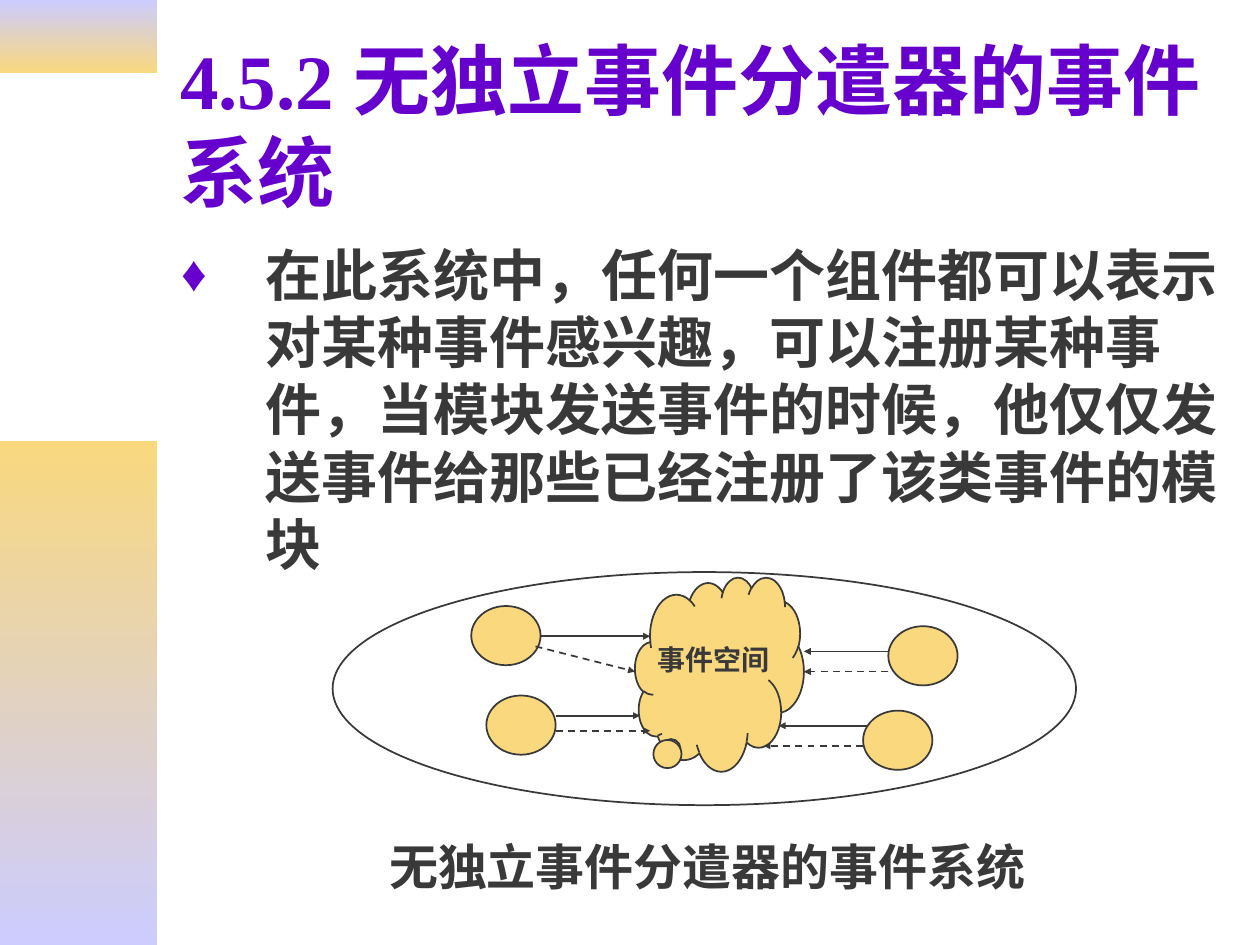
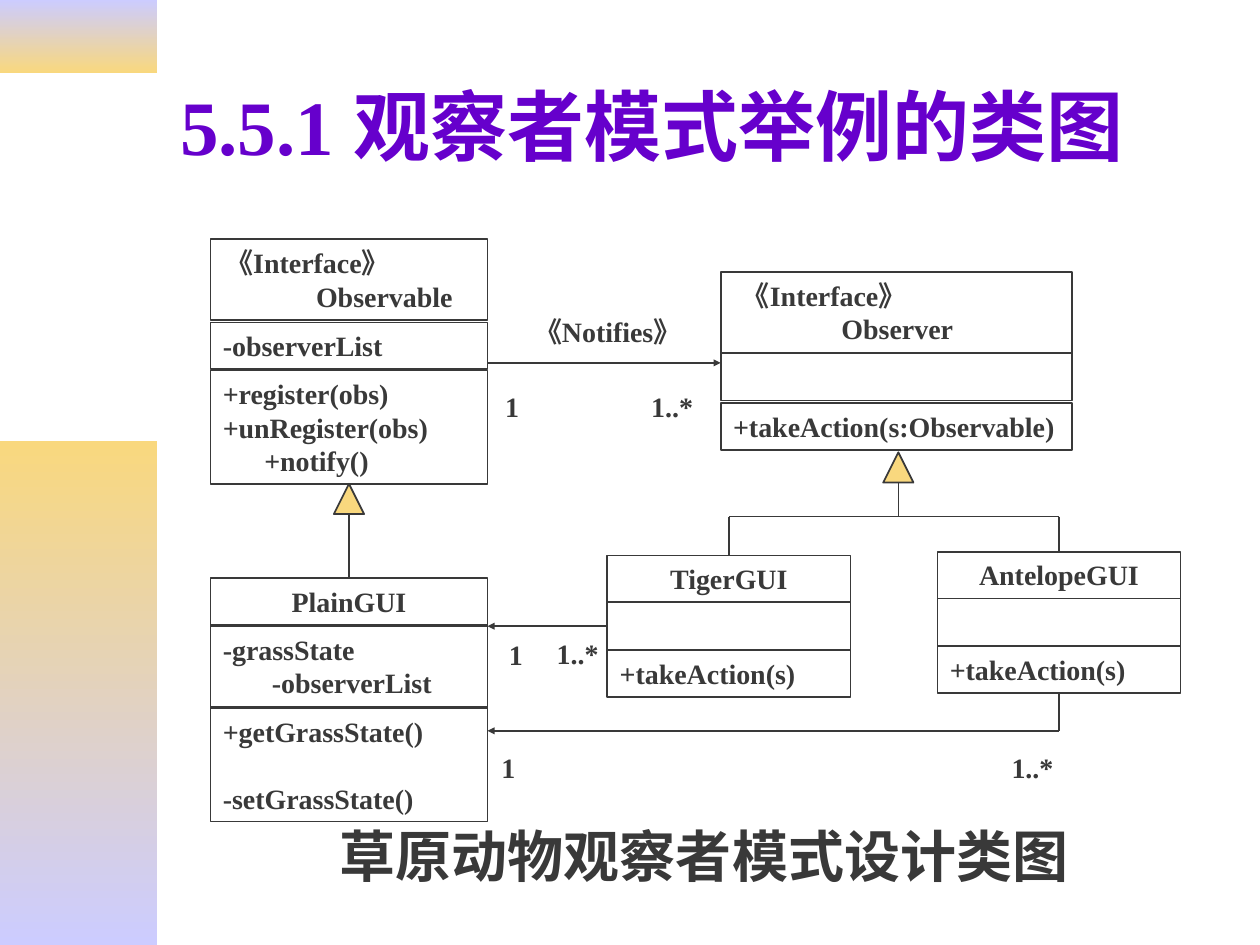
from dataclasses import dataclass
from typing import NamedTuple, Optional

from pptx import Presentation
from pptx.dml.color import RGBColor
from pptx.enum.dml import MSO_LINE_DASH_STYLE as Dash
from pptx.enum.shapes import MSO_CONNECTOR, MSO_SHAPE as Preset
from pptx.enum.text import MSO_ANCHOR as Anchor, MSO_AUTO_SIZE as AutoSize, PP_ALIGN as Align
from pptx.oxml.ns import qn
from pptx.shapes.autoshape import Shape
from pptx.shapes.connector import Connector
from pptx.slide import Slide
from pptx.text.text import TextFrame, _Paragraph as Paragraph
from pptx.util import Inches, Pt
from lxml.etree import SubElement


@dataclass(frozen=True)
class Theme:
    font: str = "Times New Roman"
    ink: str = "393939"
    purple: str = "6600CC"
    lavender: str = "CCCCFF"
    amber: str = "F9D87E"
    title: int = 44
    body: int = 32
    caption: int = 28
    label: int = 16
    stroke: float = 1


THEME = Theme()


class Box(NamedTuple):
    left: float
    top: float
    width: float
    height: float


class Point(NamedTuple):
    x: float
    y: float


class Joint(NamedTuple):
    """A connection site: 0 top, 1 left, 2 bottom, 3 right."""
    shape: Shape
    site: int


class Band(NamedTuple):
    box: Box
    top_color: str
    bottom_color: str


class Line(NamedTuple):
    text: str
    indent: float = 0
    before: float = 0


class Label(NamedTuple):
    text: str
    box: Box


class Flow(NamedTuple):
    start: Point
    end: Point
    dashed: bool = False


class Compartment(NamedTuple):
    top: float
    height: float
    lines: tuple[Line, ...] = ()
    align: Align = Align.LEFT


class UmlClass(NamedTuple):
    left: float
    width: float
    compartments: tuple[Compartment, ...]


BANDS = (
    Band(Box(0, 0, 1.25, 0.58), THEME.lavender, THEME.amber),
    Band(Box(0, 3.5, 1.25, 4), THEME.amber, THEME.lavender),
)
TITLE_BOX = Box(1.33, 0.33, 8.5, 1.32)

COMPONENTS = (Point(3.74, 4.81), Point(3.86, 5.52), Point(7.05, 4.97), Point(6.85, 5.64))
FLOWS = (
    Flow(Point(4.29, 5.05), Point(5.16, 5.05)),
    Flow(Point(4.25, 5.13), Point(5.04, 5.33), True),
    Flow(Point(4.41, 5.68), Point(5.08, 5.68)),
    Flow(Point(4.41, 5.8), Point(5.16, 5.8), True),
    Flow(Point(7.05, 5.17), Point(6.38, 5.17)),
    Flow(Point(7.05, 5.33), Point(6.38, 5.33), True),
    Flow(Point(6.89, 5.76), Point(6.18, 5.76)),
    Flow(Point(6.85, 5.92), Point(6.06, 5.92), True),
)

OBSERVABLE = UmlClass(1.67, 2.2, (
    Compartment(1.9, 0.64, (Line("《Interface》", 0.02), Line("Observable", 0.74))),
    Compartment(2.56, 0.37, (Line("-observerList"),)),
    Compartment(2.94, 0.9, (Line("+register(obs)"), Line("+unRegister(obs)"),
                            Line("+notify()", 0.33))),
))
OBSERVER = UmlClass(5.72, 2.79, (
    Compartment(2.16, 0.64, (Line("《Interface》", 0.07), Line("Observer", 0.86))),
    Compartment(2.8, 0.38),
    Compartment(3.2, 0.37, (Line("+takeAction(s:Observable)"),)),
))
PLAIN_GUI = UmlClass(1.67, 2.2, (
    Compartment(4.59, 0.37, (Line("PlainGUI"),), Align.CENTER),
    Compartment(4.97, 0.64, (Line("-grassState"), Line("-observerList", 0.39))),
    Compartment(5.62, 0.9, (Line("+getGrassState()"), Line("-setGrassState()", before=19))),
))
MULTIPLICITIES = (
    Label("《Notifies》", Box(4.14, 2.45, 1.47, 0.37)),
    Label("1", Box(3.91, 3.04, 0.31, 0.37)),
    Label("1..*", Box(5.07, 3.04, 0.53, 0.37)),
    Label("1..*", Box(4.32, 5, 0.54, 0.37)),
    Label("1", Box(3.94, 5.01, 0.31, 0.37)),
    Label("1", Box(3.88, 5.91, 0.31, 0.37)),
    Label("1..*", Box(7.93, 5.91, 0.54, 0.37)),
)


def animal_gui(name: str, left: float, top: float) -> UmlClass:
    return UmlClass(left, 1.93, (
        Compartment(top, 0.37, (Line(name),), Align.CENTER),
        Compartment(top + 0.37, 0.38),
        Compartment(top + 0.75, 0.37, (Line("+takeAction(s)"),)),
    ))


def rgb(color: str) -> RGBColor:
    return RGBColor.from_string(color)


def inches(box: Box) -> list[int]:
    return [Inches(length) for length in box]


def add_bullet(paragraph: Paragraph, char: str, hanging: float) -> None:
    props = paragraph._p.get_or_add_pPr()
    props.set("marL", str(Inches(hanging)))
    props.set("indent", str(-Inches(hanging)))
    SubElement(SubElement(props, qn("a:buClr")), qn("a:srgbClr"), val=THEME.purple)
    SubElement(props, qn("a:buSzPct"), val="90000")
    SubElement(props, qn("a:buFont"), typeface=THEME.font)
    SubElement(props, qn("a:buChar"), char=char)


def write(frame: TextFrame, *lines: Line, size: int = THEME.label, color: str = THEME.ink,
          align: Align = Align.LEFT, anchor: Anchor = Anchor.TOP, wrap: bool = True,
          bullet: Optional[str] = None) -> None:
    frame.auto_size = AutoSize.NONE
    frame.word_wrap = wrap
    frame.vertical_anchor = anchor
    for number, line in enumerate(lines):
        paragraph = frame.add_paragraph() if number else frame.paragraphs[0]
        paragraph.alignment = align
        props = paragraph._p.get_or_add_pPr()
        props.set("hangingPunct", "0")
        if line.indent:
            props.set("marL", str(Inches(line.indent)))
        if line.before:
            paragraph.space_before = Pt(line.before)
        if bullet:
            add_bullet(paragraph, bullet, 0.67)
        run = paragraph.add_run()
        run.text = line.text
        run.font.name, run.font.size, run.font.bold = THEME.font, Pt(size), True
        run.font.color.rgb = rgb(color)


def add_text(slide: Slide, text: str, box: Box, **text_format) -> None:
    write(slide.shapes.add_textbox(*inches(box)).text_frame, Line(text), **text_format)


def add_outline(slide: Slide, preset: Preset, box: Box, fill: Optional[str] = None) -> Shape:
    shape = slide.shapes.add_shape(preset, *inches(box))
    shape.shadow.inherit = False
    if fill:
        shape.fill.solid()
        shape.fill.fore_color.rgb = rgb(fill)
    else:
        shape.fill.background()
    shape.line.color.rgb = rgb(THEME.ink)
    shape.line.width = Pt(THEME.stroke)
    return shape


def add_line(slide: Slide, start: Point | Joint, end: Point | Joint,
             arrow: bool = False, dashed: bool = False) -> Connector:
    ends = [point if isinstance(point, Point) else site_of(point) for point in (start, end)]
    line = slide.shapes.add_connector(
        MSO_CONNECTOR.STRAIGHT, *(Inches(length) for point in ends for length in point))
    if isinstance(start, Joint):
        line.begin_connect(*start)
    if isinstance(end, Joint):
        line.end_connect(*end)
    line.line.color.rgb = rgb(THEME.ink)
    line.line.width = Pt(THEME.stroke)
    if dashed:
        line.line.dash_style = Dash.DASH
    if arrow:
        SubElement(line.line._get_or_add_ln(), qn("a:tailEnd"),
                   type="triangle", w="sm", len="sm")
    SubElement(line._element.spPr, qn("a:effectLst"))
    return line


def site_of(joint: Joint) -> Point:
    shape, site = joint
    across, down = ((0.5, 0), (0, 0.5), (0.5, 1), (1, 0.5))[site]
    return Point((shape.left + across * shape.width) / Inches(1),
                 (shape.top + down * shape.height) / Inches(1))


def add_band(slide: Slide, band: Band) -> None:
    shape = slide.shapes.add_shape(Preset.RECTANGLE, *inches(band.box))
    shape.shadow.inherit = False
    shape.line.fill.background()
    shape.fill.gradient()
    shape.fill.gradient_angle = 270
    for stop, color in zip(shape.fill.gradient_stops, (band.top_color, band.bottom_color)):
        stop.color.rgb = rgb(color)


def start_slide(deck: Presentation, heading: str) -> Slide:
    """Add a title-only slide with the side bands and its heading."""
    slide = deck.slides.add_slide(deck.slide_layouts[5])
    for band in BANDS:
        add_band(slide, band)
    title = slide.shapes.title
    title.left, title.top, title.width, title.height = inches(TITLE_BOX)
    write(title.text_frame, Line(heading), size=THEME.title, color=THEME.purple,
          anchor=Anchor.MIDDLE)
    return slide


def add_class(slide: Slide, uml: UmlClass) -> list[Shape]:
    """Draw a class and return its compartments from top to bottom."""
    drawn = []
    for part in uml.compartments:
        rect = add_outline(slide, Preset.RECTANGLE,
                           Box(uml.left, part.top, uml.width, part.height))
        if part.lines:
            write(rect.text_frame, *part.lines, align=part.align)
        drawn.append(rect)
    return drawn


def build_event_space(deck: Presentation) -> None:
    slide = start_slide(deck, "4.5.2 无独立事件分遣器的事件系统")
    add_text(slide, "在此系统中，任何一个组件都可以表示对某种事件感兴趣，可以注册某种事件，"
             "当模块发送事件的时候，他仅仅发送事件给那些已经注册了该类事件的模块",
             Box(1.34, 1.86, 8.5, 2.83), size=THEME.body, bullet="♦")
    add_outline(slide, Preset.OVAL, Box(2.64, 4.54, 5.9, 1.85))
    cloud = add_outline(slide, Preset.CLOUD_CALLOUT, Box(5.04, 4.58, 1.34, 1.54), THEME.amber)
    cloud.adjustments[0], cloud.adjustments[1] = -0.295, 0.395
    add_text(slide, "事件空间", Box(5.12, 5.05, 1.08, 0.37), wrap=False)
    for corner in COMPONENTS:
        add_outline(slide, Preset.OVAL, Box(*corner, 0.55, 0.47), THEME.amber)
    for flow in FLOWS:
        add_line(slide, flow.start, flow.end, arrow=True, dashed=flow.dashed)
    add_text(slide, "无独立事件分遣器的事件系统", Box(2.99, 6.59, 5.67, 0.57), size=THEME.caption)


def build_class_diagram(deck: Presentation) -> None:
    slide = start_slide(deck, "5.5.1 观察者模式举例的类图")
    add_text(slide, "草原动物观察者模式设计类图", Box(1.34, 6.47, 8.5, 0.67),
             size=THEME.body, align=Align.CENTER)
    add_class(slide, OBSERVABLE)
    add_class(slide, OBSERVER)
    plain = add_class(slide, PLAIN_GUI)
    tiger = add_class(slide, animal_gui("TigerGUI", 4.82, 4.41))
    antelope = add_class(slide, animal_gui("AntelopeGUI", 7.44, 4.38))
    for label in MULTIPLICITIES:
        add_text(slide, label.text, label.box, wrap=False)

    to_observable, to_observer = (
        add_outline(slide, Preset.FLOWCHART_EXTRACT, Box(*corner, 0.24, 0.24), THEME.amber)
        for corner in (Point(2.65, 3.84), Point(7.01, 3.59)))
    add_line(slide, Joint(to_observable, 2), Joint(plain[0], 0))

    branch_y, return_y = 4.1, 5.8
    tiger_x, antelope_x = site_of(Joint(tiger[0], 0)).x, site_of(Joint(antelope[0], 0)).x
    add_line(slide, Joint(to_observer, 2), Point(7.13, branch_y))
    add_line(slide, Point(tiger_x, branch_y), Point(antelope_x, branch_y))
    add_line(slide, Point(tiger_x, branch_y), Joint(tiger[0], 0))
    add_line(slide, Point(antelope_x, branch_y), Joint(antelope[0], 0))

    add_line(slide, Point(3.87, 2.88), Point(5.72, 2.88), arrow=True)
    add_line(slide, Joint(tiger[1], 1), Point(3.87, 4.97), arrow=True)
    add_line(slide, Joint(antelope[2], 2), Point(antelope_x, return_y))
    add_line(slide, Point(antelope_x, return_y), Point(3.87, return_y), arrow=True)


def main() -> None:
    deck = Presentation()
    deck.slide_width, deck.slide_height = Inches(10), Inches(7.5)
    build_event_space(deck)
    build_class_diagram(deck)
    deck.save("out.pptx")


if __name__ == "__main__":
    main()
